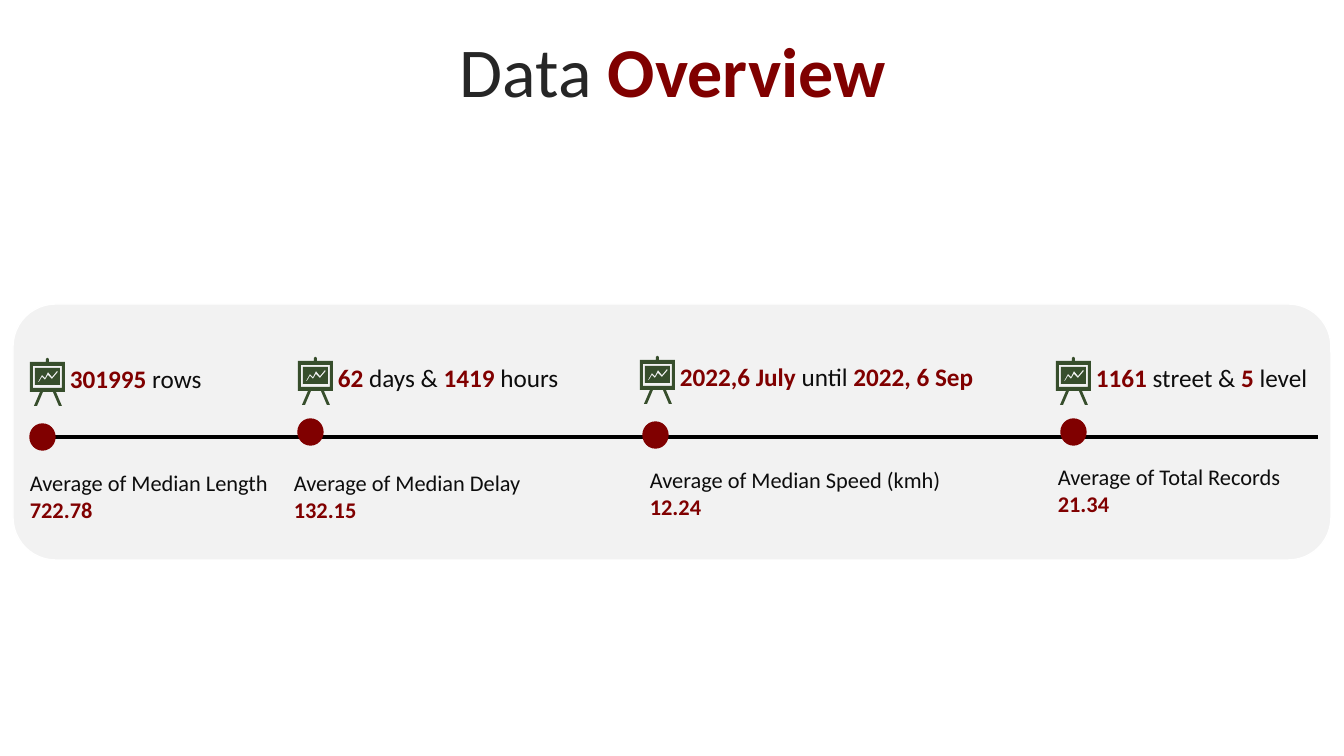
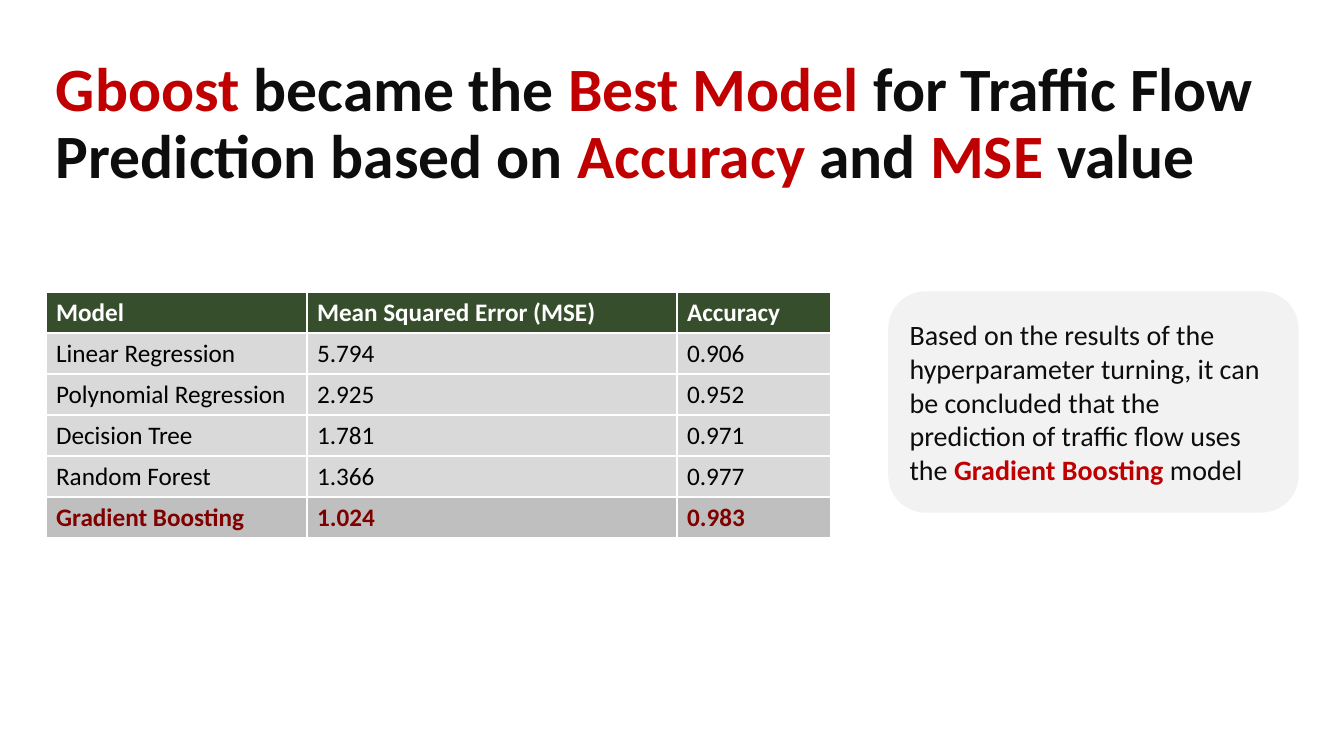
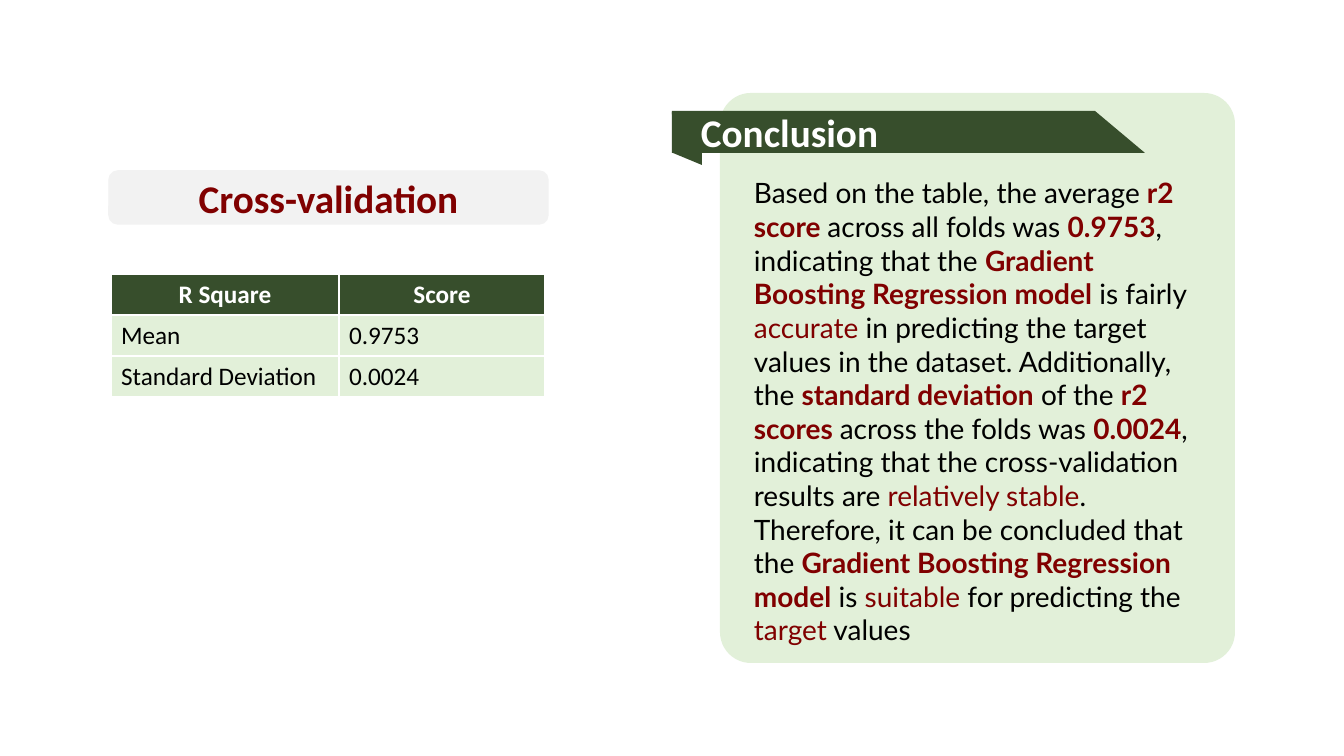
import pptx
import pptx.dml.color
import pptx.enum.shapes
import pptx.enum.text
import pptx.oxml.ns
import pptx.util
from lxml import etree

SHAPES = pptx.enum.shapes.MSO_SHAPE
ALIGN = pptx.enum.text.PP_ALIGN
ANCHOR = pptx.enum.text.MSO_ANCHOR
SLIDE_WIDTH, SLIDE_HEIGHT = 1344, 756
EMU_PER_PX = 12192000 / SLIDE_WIDTH

COLOURS = {
    "white": "FFFFFF",
    "black": "000000",
    "ink": "0D0D0D",
    "heading": "262626",
    "maroon": "800000",
    "red": "C00000",
    "forest": "374E2C",
    "mint": "E2F0D9",
    "panel": "F2F2F2",
    "row": "D9D9D9",
    "best_row": "BFBFBF",
}

EASEL = [
    [(16, 4), (0, 4), (0, 34), (10, 34), (4, 48), (7, 48), (13, 34), (23, 34), (29, 48),
     (32, 48), (26, 34), (35, 34), (35, 4), (19, 4), (19, 1), (18, 0), (17, 0), (16, 1)],
    [(3, 8), (3, 30), (32, 30), (32, 8)],
    [(5, 10), (30, 10), (30, 27), (5, 27)],
    [(27, 13), (22, 19), (18, 14), (15, 20), (12, 17), (8, 24),
     (9, 24), (12, 19), (15, 22), (18, 17), (22, 21), (28, 14)],
]


def px(length):
    """Turn pixels into EMU."""
    return pptx.util.Emu(round(length * EMU_PER_PX))


def rgb(name):
    """Look up a palette colour."""
    return pptx.dml.color.RGBColor.from_string(COLOURS[name])


class Deck:
    """Hold the style of the presentation and its current slide."""

    def __init__(self):
        """Start an empty presentation."""
        self.presentation = pptx.Presentation()
        self.presentation.slide_width = px(SLIDE_WIDTH)
        self.presentation.slide_height = px(SLIDE_HEIGHT)
        self.shapes = None

    def new_slide(self):
        """Add a blank slide and make it current."""
        blank = self.presentation.slide_layouts[6]
        self.shapes = self.presentation.slides.add_slide(blank).shapes

    def style(self, run, size, colour, bold=False, font="Calibri"):
        """Format one run."""
        run.font.name = font
        run.font.size = pptx.util.Pt(size)
        run.font.bold = bold
        run.font.color.rgb = rgb(colour)

    def fill_text(self, frame, runs, size, align=ALIGN.LEFT, anchor=ANCHOR.TOP, font="Calibri"):
        """Fill a text frame with one paragraph of (text, colour, bold) runs."""
        frame.word_wrap = True
        frame.vertical_anchor = anchor
        paragraph = frame.paragraphs[0]
        paragraph.alignment = align
        for words, colour, bold in runs:
            run = paragraph.add_run()
            run.text = words
            self.style(run, size, colour, bold, font)

    def text(self, box, runs, size, **layout):
        """Add a text box."""
        frame = self.shapes.add_textbox(*map(px, box)).text_frame
        self.fill_text(frame, runs, size, **layout)
        return frame

    def title(self, box, runs, size, spacing, align=ALIGN.LEFT):
        """Add a slide title."""
        frame = self.text(box, runs, size, align=align, anchor=ANCHOR.MIDDLE)
        frame.paragraphs[0].line_spacing = spacing
        frame.paragraphs[0].space_before = pptx.util.Pt(10)

    def paint(self, shape, fill, line=None):
        """Give a shape its fill and line, without a shadow."""
        shape.shadow.inherit = False
        shape.fill.solid()
        shape.fill.fore_color.rgb = rgb(fill)
        if line:
            shape.line.color.rgb = rgb(line)
            shape.line.width = pptx.util.Pt(1)
        else:
            shape.line.fill.background()

    def shape(self, kind, box, fill, line=None):
        """Add a preset shape."""
        shape = self.shapes.add_shape(kind, *map(px, box))
        self.paint(shape, fill, line)
        return shape

    def outline(self, contours, fill, left=0, top=0):
        """Add a freeform made of closed contours."""
        builder = self.shapes.build_freeform(*contours[0][0], scale=EMU_PER_PX)
        for index, contour in enumerate(contours):
            if index:
                builder.move_to(*contour[0])
            builder.add_line_segments(contour[1:], close=True)
        self.paint(builder.convert_to_shape(px(left), px(top)), fill)

    def line(self, start, end, colour, weight):
        """Add a straight line."""
        straight = pptx.enum.shapes.MSO_CONNECTOR.STRAIGHT
        connector = self.shapes.add_connector(straight, *map(px, start + end))
        connector.line.color.rgb = rgb(colour)
        connector.line.width = pptx.util.Pt(weight)
        properties = connector.element.spPr
        etree.SubElement(properties, pptx.oxml.ns.qn("a:effectLst"))

    def table(self, left, top, widths, rows, fill, head_align=ALIGN.LEFT, best=None):
        """Add a table with a dark header and an optional highlighted row."""
        row_height = 41
        box = (left, top, sum(widths), row_height * len(rows))
        table = self.shapes.add_table(len(rows), len(widths), *map(px, box)).table
        for column, width in zip(table.columns, widths):
            column.width = px(width)
        for r, row in enumerate(rows):
            if r == 0:
                background, colour = "forest", "white"
            elif r == best:
                background, colour = "best_row", "maroon"
            else:
                background, colour = fill, "black"
            for c, value in enumerate(row):
                cell = table.cell(r, c)
                cell.fill.solid()
                cell.fill.fore_color.rgb = rgb(background)
                cell.text_frame.text = value
                paragraph = cell.text_frame.paragraphs[0]
                paragraph.alignment = ALIGN.LEFT if r else head_align
                self.style(paragraph.runs[0], 18, colour, r in (0, best))


def data_overview(deck):
    """Build the timeline of data facts."""
    deck.new_slide()
    deck.title((35, 37, 1276, 80), [("Data ", "heading", False), ("Overview", "maroon", True)],
               50, 0.8, ALIGN.CENTER)
    deck.shape(SHAPES.ROUNDED_RECTANGLE, (13, 304, 1318, 256), "panel", "white")
    deck.line((30, 437), (1318, 437), "black", 2.25)
    milestones = [
        ((30, 358), 193, (30, 424), (20, 464, 290), "Average of Median Length ", "722.78",
         [("301995", "maroon", True), (" rows", "ink", False)]),
        ((298, 357), 260, (298, 419), (284, 464, 290), "Average of Median Delay ", "132.15",
         [("62 ", "maroon", True), ("days & ", "ink", False),
          ("1419", "maroon", True), (" hours", "ink", False)]),
        ((640, 356), 326, (643, 422), (640, 461, 324), "Average of Median Speed (kmh) ", "12.24",
         [("2022,6 July ", "maroon", True), ("until ", "ink", False),
          ("2022, 6 Sep", "maroon", True)]),
        ((1056, 357), 257, (1061, 419), (1048, 458, 290), "Average of Total Records ", "21.34",
         [("1161 ", "maroon", True), ("street & ", "ink", False),
          ("5", "maroon", True), (" level", "ink", False)]),
    ]
    for easel, fact_width, dot, caption, measure, average, fact in milestones:
        left, top = easel
        deck.outline(EASEL, "forest", left, top)
        deck.text((left + 30, top, fact_width, 40), fact, 18)
        deck.shape(SHAPES.OVAL, (*dot, 25, 26), "maroon", "maroon")
        deck.text((*caption, 65), [(measure, "ink", False), (average, "maroon", True)], 16)


def best_model(deck):
    """Build the comparison of models."""
    deck.new_slide()
    deck.title((46, 85, 1276, 80), [
        ("Gboost", "red", True), (" became the ", "ink", True),
        ("Best Model ", "red", True), ("for Traffic Flow Prediction based on ", "ink", True),
        ("Accuracy", "red", True), (" and ", "ink", True),
        ("MSE", "red", True), (" value", "ink", True),
    ], 44, 0.9)
    deck.table(46, 292, (261, 370, 154), [
        ("Model", "Mean Squared Error (MSE)", "Accuracy"),
        ("Linear Regression", "5.794", "0.906"),
        ("Polynomial Regression", "2.925", "0.952"),
        ("Decision Tree", "1.781", "0.971"),
        ("Random Forest", "1.366", "0.977"),
        ("Gradient Boosting", "1.024", "0.983"),
    ], "row", best=5)
    finding = deck.shape(SHAPES.ROUNDED_RECTANGLE, (889, 292, 409, 220), "panel", "panel")
    deck.fill_text(finding.text_frame, [
        ("Based on the results of the hyperparameter turning, it can be concluded that "
         "the prediction of traffic flow uses the ", "ink", False),
        ("Gradient Boosting ", "red", True), ("model", "ink", False),
    ], 20, anchor=ANCHOR.MIDDLE)


def cross_validation(deck):
    """Build the validation scores and the conclusion."""
    deck.new_slide()
    card = deck.shape(SHAPES.ROUNDED_RECTANGLE, (720, 93, 515, 570), "mint")
    card.adjustments[0] = 0.06
    deck.outline([[(672, 112), (702, 113), (702, 165), (673, 153)]], "forest")
    deck.outline([[(672, 111), (1095, 111), (1145, 153), (672, 153)]], "forest")
    heading = deck.text((689, 115, 385, 33), [("Conclusion", "white", True)], 28,
                        anchor=ANCHOR.MIDDLE)
    heading.margin_left = px(12)
    deck.text((744, 171, 462, 452), [
        ("Based on the table, the average", "black", False),
        (" r2 score ", "maroon", True),
        ("across all folds was ", "black", False),
        ("0.9753", "maroon", True),
        (", indicating that the ", "black", False),
        ("Gradient Boosting Regression model", "maroon", True),
        (" is fairly ", "black", False),
        ("accurate", "maroon", False),
        (" in predicting the target values in the dataset. Additionally, the ", "black", False),
        ("standard deviation", "maroon", True),
        (" of the ", "black", False),
        ("r2 scores ", "maroon", True),
        ("across the folds was ", "black", False),
        ("0.0024", "maroon", True),
        (", indicating that the cross-validation results are ", "black", False),
        ("relatively stable", "maroon", False),
        (". Therefore, it can be concluded that the ", "black", False),
        ("Gradient Boosting Regression model", "maroon", True),
        (" is ", "black", False),
        ("suitable", "maroon", False),
        (" for predicting the ", "black", False),
        ("target", "maroon", False),
        (" values", "black", False),
    ], 20, font="Lato")
    deck.table(111, 274, (228, 206), [
        ("R Square", "Score"),
        ("Mean", "0.9753"),
        ("Standard Deviation", "0.0024"),
    ], "mint", head_align=ALIGN.CENTER)
    label = deck.shape(SHAPES.ROUNDED_RECTANGLE, (109, 171, 439, 53), "panel", "panel")
    deck.fill_text(label.text_frame, [("Cross-validation", "maroon", True)], 28,
                   align=ALIGN.CENTER, anchor=ANCHOR.MIDDLE)


def main():
    """Build and save the presentation."""
    deck = Deck()
    data_overview(deck)
    best_model(deck)
    cross_validation(deck)
    deck.presentation.save("out.pptx")


if __name__ == "__main__":
    main()
